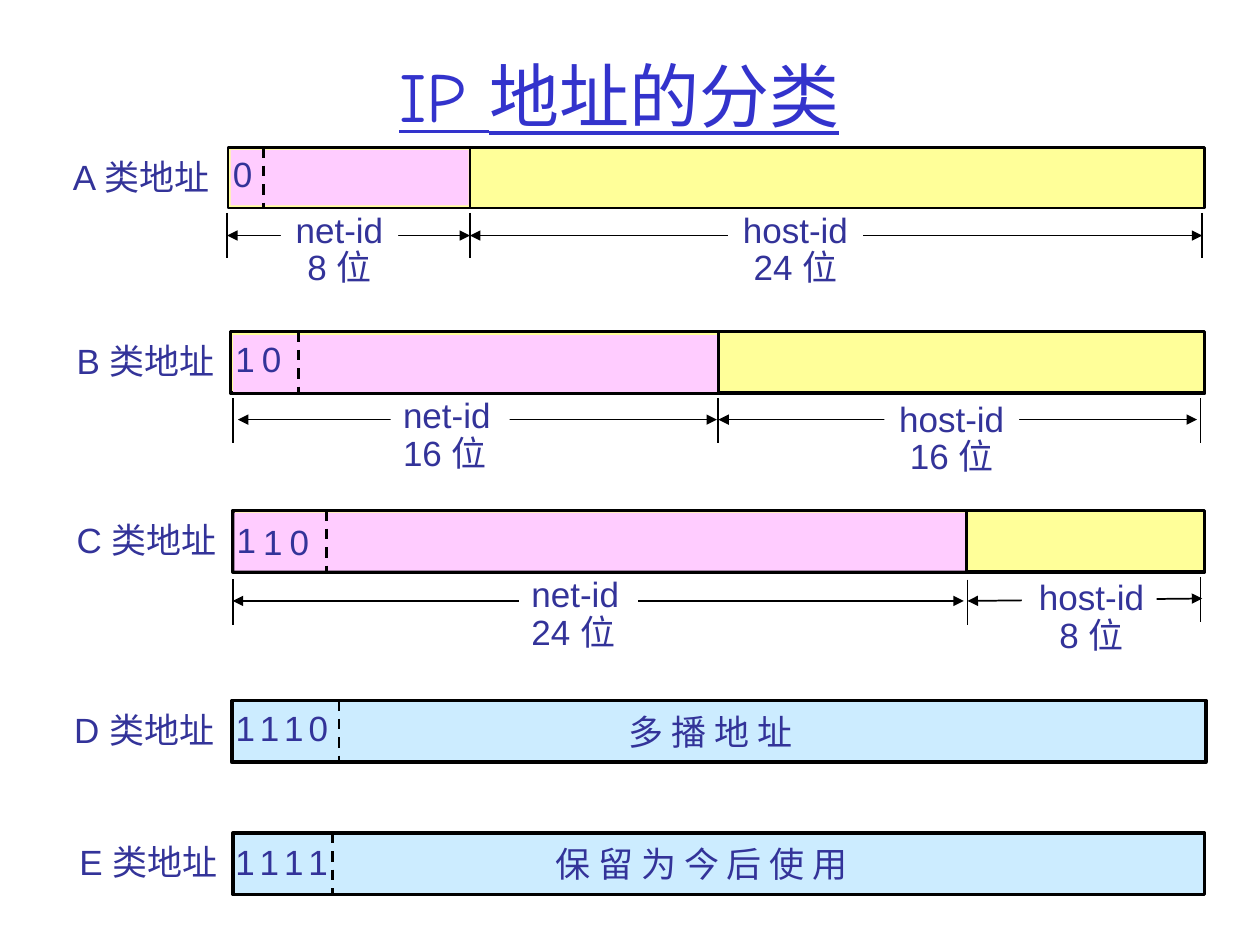
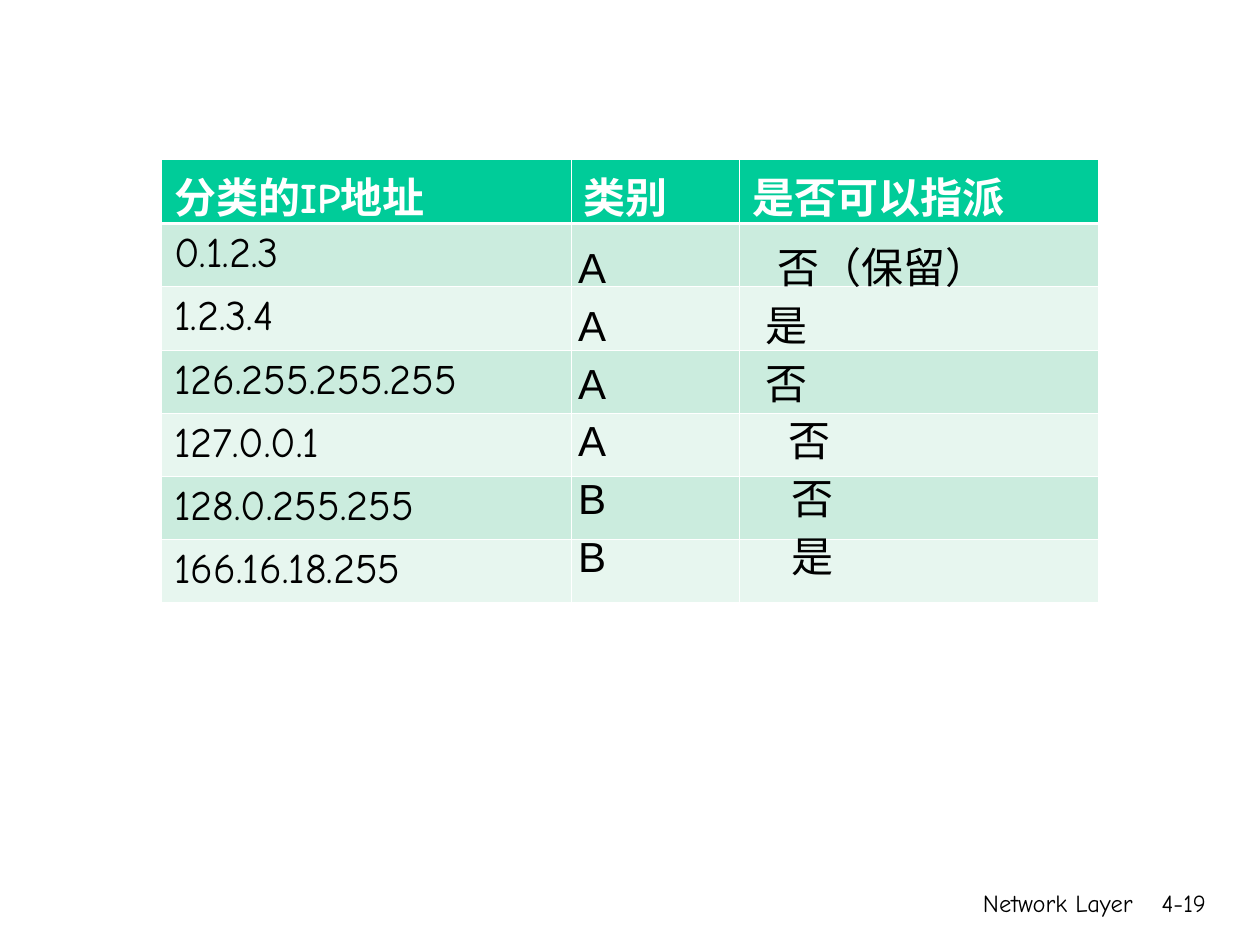
from lxml import etree
from pptx import Presentation
from pptx import util as u
from pptx.dml.color import RGBColor
from pptx.enum import dml, shapes, text
from pptx.oxml import ns

COLORS = {
    "title": "3333CC", "ink": "333399", "black": "000000", "white": "FFFFFF",
    "net": "FFCCFF", "host": "FFFF99", "special": "CCECFF",
    "header": "00CC99", "band_dark": "CBECDE", "band_light": "E7F6EF",
}
ALIGN = text.PP_ALIGN
DIAGRAM_FONT, THEME_FONT = "Arial", "Comic Neue"


def rgb(name):
    return RGBColor.from_string(COLORS[name])


def add_xml(parent, tag, **attributes):
    return etree.SubElement(parent, ns.qn(tag), attributes)


def fill_text(frame, lines, size=20, font=DIAGRAM_FONT, color="ink", bold=False,
              underline=False, align=None, spacing=None, tabs=None):
    """Write lines; a line is a string or a list of (text, size) spans."""
    for index, line in enumerate(lines):
        para = frame.paragraphs[0] if index == 0 else frame.add_paragraph()
        para.alignment = align
        para.line_spacing = spacing
        if tabs:
            tab_list = add_xml(para._p.get_or_add_pPr(), "a:tabLst")
            add_xml(tab_list, "a:tab", pos=str(u.Pt(tabs[index])), algn="l")
        for words, points in [(line, size)] if isinstance(line, str) else line:
            span = para.add_run()
            span.text = words
            span.font.name = font
            span.font.size = u.Pt(points)
            span.font.bold = bold
            span.font.underline = underline
            span.font.color.rgb = rgb(color)


def add_text(page, box, lines, wrap=True, grow=False, fill=None,
             anchor=text.MSO_ANCHOR.TOP, **style):
    shape = page.shapes.add_textbox(*map(u.Pt, box))
    if fill:
        shape.fill.solid()
        shape.fill.fore_color.rgb = rgb(fill)
    frame = shape.text_frame
    frame.word_wrap = wrap
    frame.vertical_anchor = anchor
    if grow:
        frame.auto_size = text.MSO_AUTO_SIZE.SHAPE_TO_FIT_TEXT
    fill_text(frame, lines, **style)


def add_rect(page, box, fill, width=None):
    rect = page.shapes.add_shape(shapes.MSO_SHAPE.RECTANGLE, *map(u.Pt, box))
    rect.shadow.inherit = False
    rect.fill.solid()
    rect.fill.fore_color.rgb = rgb(fill)
    if width:
        rect.line.color.rgb = rgb("black")
        rect.line.width = u.Pt(width)
    else:
        rect.line.fill.background()


def add_line(page, start, end, width=1, dashed=False, arrows=False):
    line = page.shapes.add_connector(
        shapes.MSO_CONNECTOR.STRAIGHT, *map(u.Pt, (*start, *end)))
    line.line.color.rgb = rgb("black")
    line.line.width = u.Pt(width)
    if dashed:
        line.line.dash_style = dml.MSO_LINE.DASH
    if arrows:
        outline = line.line._get_or_add_ln()
        for tag in ("a:headEnd", "a:tailEnd"):
            add_xml(outline, tag, type="triangle")
    add_xml(line._element.spPr, "a:effectLst")


def draw_bar(page, box, fill, width, name, name_left, prefix, prefix_end,
             net=None, divider=None):
    """Draw one address format; lengths inside the bar count from its corner."""
    left, top, _, height = box
    add_rect(page, box, fill, width)
    if net:
        net_left, net_top, net_width, net_height = net
        add_rect(page, (left + net_left, top + net_top, net_width, net_height), "net")
        add_line(page, (left + divider, top), (left + divider, top + height), 1.5)
    add_text(page, (left + name_left, top + 1, 106, 31), [f"{name} 类地址"], grow=True)
    for bits, offset, drop in prefix:
        spans = [(mark, 10 if mark == " " else 20) for mark in bits]
        add_text(page, (left + offset, top + drop, 14.4 + 13.9 * len(bits), 31),
                 [spans], grow=True)
    add_line(page, (left + prefix_end, top), (left + prefix_end, top + height),
             1.5, dashed=True)


def draw_scale(page, top, ticks, arrows, labels):
    """Draw the measured widths of both id fields below a bar."""
    for start, end, start_drop, end_drop in arrows:
        add_line(page, (start, top + start_drop), (end, top + end_drop), arrows=True)
    for words, bits, left, drop, width, align, patch in labels:
        if patch:
            patch_left, patch_drop, *size = patch
            add_rect(page, (patch_left, top + patch_drop, *size), "white")
        add_text(page, (left, top + drop, width, 50.4), [words, f"{bits} 位"],
                 grow=True, fill=None if patch else "white",
                 align=align, spacing=0.9)
    for x, drop in ticks:
        add_line(page, (x, top + drop), (x, top + drop + 25.8))


def build_classes(page):
    add_text(page, (0, 23.8, 707.8, 60.5), ["IP 地址的分类"], size=40,
             font=THEME_FONT, color="title", underline=True, align=ALIGN.CENTER,
             anchor=text.MSO_ANCHOR.MIDDLE)

    draw_scale(page, 118.8, [(129.8, 2.9), (268.6, 2.9), (687, 2.9)],
               [(129.8, 268.6, 15.8, 15.8), (268.6, 687, 15.8, 15.8)],
               [("net-id", 8, 160.5, -0.7, 67, ALIGN.CENTER, None),
                ("host-id", 24, 416.1, -0.7, 77, ALIGN.CENTER, None)])
    draw_scale(page, 224.6, [(133, 2.9), (410.5, 2.9), (686, 2.9)],
               [(136, 409.7, 15.2, 15.2), (410.5, 684, 15.2, 15.2)],
               [("net-id", 16, 223.2, -0.7, 68, ALIGN.LEFT, None),
                ("host-id", 16, 505.4, 1.5, 77, ALIGN.CENTER, None)])
    draw_scale(page, 326.9, [(133, 4.2), (552.9, 4.4), (686, 2.9)],
               [(133, 550.8, 16.5, 16.5), (552.9, 687, 16.5, 15.1)],
               [("net-id", 24, 296.6, -0.7, 68, ALIGN.LEFT, None),
                ("host-id", 8, 585.3, 1.4, 77, ALIGN.CENTER,
                 (584, 7.9, 77, 18))])

    draw_bar(page, (130.3, 84.2, 558, 34.6), "host", 1.5, "A", -95.7,
             [("0", -4.3, -0.7)], 20.2, (1.5, 1.5, 136, 31.7), 138.3)
    draw_bar(page, (131.8, 189.4, 556.6, 35.3), "host", 2, "B", -95.1,
             [("1", -4.4, 0), ("0", 10.8, 0)], 38.8, (1.4, 2.1, 276.5, 32.4), 278.7)
    draw_bar(page, (133.2, 291.6, 555.1, 35.3), "host", 2, "C", -96.5,
             [("1", -5, 1.4), ("1", 10.1, 2.1), ("0", 25.2, 2.1)], 53.3,
             (0.7, 1.4, 417.6, 33.1), 419)
    draw_bar(page, (132.5, 400.3, 556.6, 35.3), "special", 2, "D", -97.2,
             [("1 1 1 0", -5, 0)], 61.2)
    draw_bar(page, (133.2, 475.9, 555.1, 35.3), "special", 2, "E", -95,
             [("1 1 1 1", -5.8, 0.7)], 56.9)
    for words, left, top, width in (("多 播 地 址", 352, 402.5, 112),
                                    ("保 留 为 今 后 使 用", 310.3, 478, 186)):
        add_text(page, (left, top, width, 31), [words], grow=True)


def fill_cell(cell, words, fill, row):
    """Set white borders, the fill and, where given, the text of a cell."""
    properties = cell._tc.get_or_add_tcPr()
    for side in "LRTB":
        thick = (row, side) in ((0, "B"), (1, "T"))
        border = add_xml(properties, f"a:ln{side}", w=str(u.Pt(1.47 if thick else 0.45)))
        add_xml(add_xml(border, "a:solidFill"), "a:srgbClr", val=COLORS["white"])
    cell.fill.solid()
    cell.fill.fore_color.rgb = rgb(fill)
    if row == 0:
        cell.margin_top, cell.margin_bottom = u.Pt(7), u.Pt(0)
    if words:
        fill_text(cell.text_frame, [words], size=24, font=THEME_FONT,
                  color="black" if row else "white", bold=not row,
                  spacing=None if row else 0.85)


def build_quiz(page):
    rows = [("分类的IP地址", "类别", "是否可以指派")] + [
        (address, "", "") for address in (
            "0.1.2.3", "1.2.3.4", "126.255.255.255",
            "127.0.0.1", "128.0.255.255", "166.16.18.255")]
    widths = (234, 96.3, 204.9)
    table = page.shapes.add_table(
        len(rows), len(widths), u.Pt(92.3), u.Pt(91.2),
        u.Pt(sum(widths)), u.Pt(36.1 * len(rows))).table
    for column, width in zip(table.columns, widths):
        column.width = u.Pt(width)
    for row, cells in enumerate(rows):
        table.rows[row].height = u.Pt(36.1)
        fill = ("band_light", "band_dark")[row % 2] if row else "header"
        for column, words in enumerate(cells):
            fill_cell(table.cell(row, column), words, fill, row)

    for words, left, width in (("Network Layer", 426.2, 228.2), ("4-19", 643, 53.3)):
        add_text(page, (left, 504, width, 36), [words], size=14,
                 font=THEME_FONT, color="black", align=ALIGN.RIGHT)

    answers = (("A", "否（保留）", 114), ("A", "是", 107), ("A", "否", 107),
               ("A", "否", 120), ("B", "否", 122), ("B", "是", 122))
    add_text(page, (323.3, 130.3, 343.4, 234),
             [f"{kind}\t{verdict}" for kind, verdict, _ in answers], size=24,
             grow=True, color="black", spacing=u.Pt(33),
             tabs=[stop for *_, stop in answers])


def main():
    deck = Presentation()
    deck.slide_width, deck.slide_height = u.Pt(720), u.Pt(540)
    for build in (build_classes, build_quiz):
        build(deck.slides.add_slide(deck.slide_layouts[6]))
    deck.save("out.pptx")


if __name__ == "__main__":
    main()
